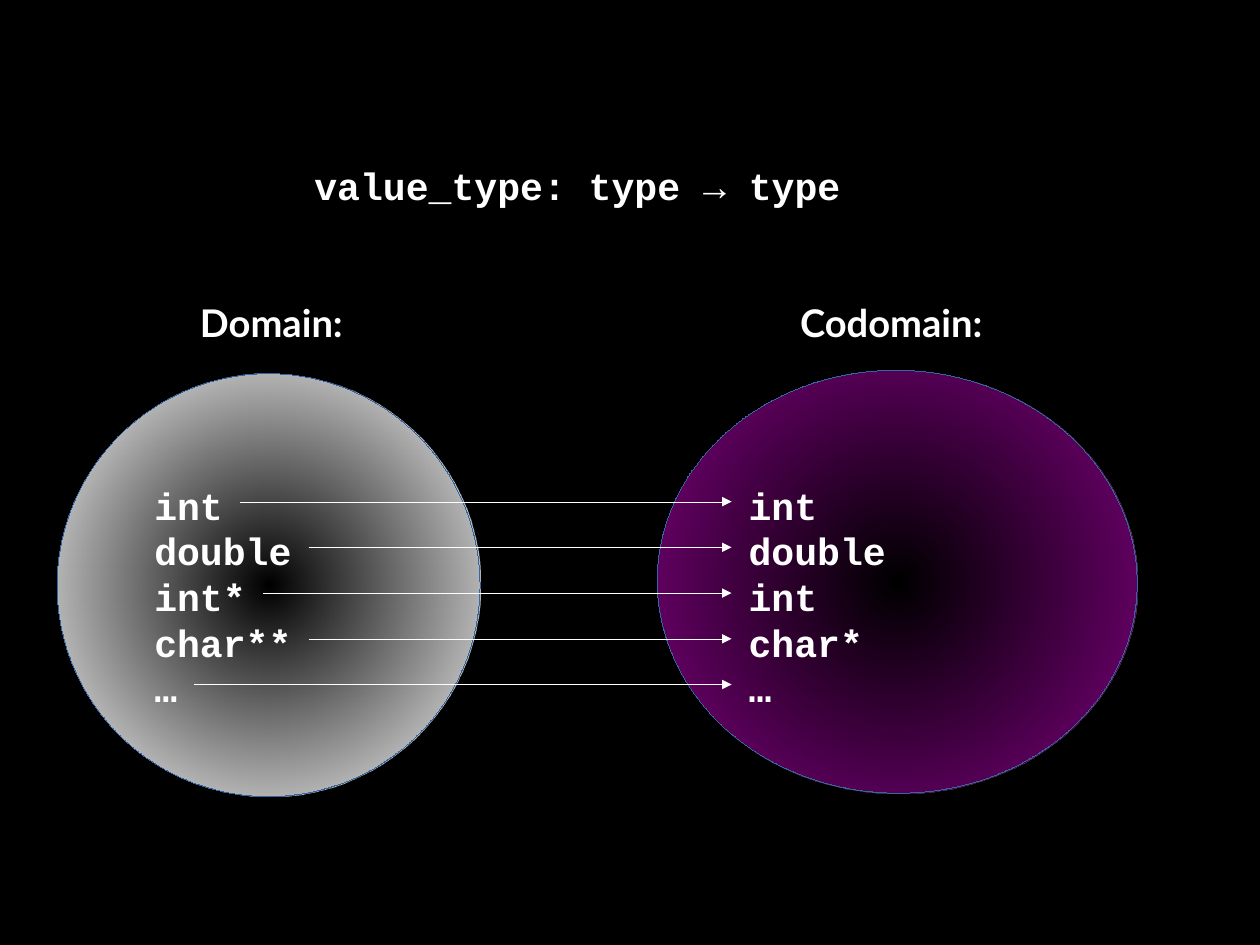
from dataclasses import dataclass

from lxml.etree import SubElement
from pptx import Presentation
from pptx.dml.color import RGBColor
from pptx.enum.shapes import MSO_CONNECTOR as Connector, MSO_SHAPE as Shape
from pptx.enum.text import MSO_ANCHOR as Anchor, PP_ALIGN as Align
from pptx.oxml import parse_xml
from pptx.oxml.ns import nsdecls, qn
from pptx.util import Pt


@dataclass(frozen=True)
class Theme:
    """Colours, fonts and type sizes of the slide."""
    background: str = "000000"
    text: str = "FFFFFF"
    outline: str = "3465A4"
    domain: str = "FFFFFF"
    codomain: str = "800080"
    code_font: str = "Courier New"
    label_font: str = "Lato"
    size: float = 24
    pitch: float = 28.8
    character: float = 14.4
    gap: float = 10.8


THEME = Theme()
MAPPING = [("int", "int"), ("double", "double"), ("int*", "int"),
           ("char**", "char*"), ("…", "…")]
LABEL_TOP = 188.8
LIST_TOP = 303.6
DOMAIN_LEFT = 97.2
CODOMAIN_LEFT = 471.6


def rgb(colour):
    """Turn a hex string into a colour."""
    return RGBColor.from_string(colour)


def set_hairline(line, colour):
    """Give a line its colour and the thinnest width."""
    line.color.rgb = rgb(colour)
    line._get_or_add_ln().set("w", "0")


def write(shape, text, font):
    """Fill a shape with bold text in the theme's size and line pitch."""
    frame = shape.text_frame
    frame.text = text
    frame.word_wrap = True
    frame.vertical_anchor = Anchor.TOP
    frame.margin_left = frame.margin_right = 0
    frame.margin_top = frame.margin_bottom = 0
    for paragraph in frame.paragraphs:
        paragraph.alignment = Align.LEFT
        paragraph.line_spacing = Pt(THEME.pitch)
        paragraph.space_before = paragraph.space_after = Pt(0)
        for run in paragraph.runs:
            run.font.name = font
            run.font.size = Pt(THEME.size)
            run.font.bold = True
            run.font.color.rgb = rgb(THEME.text)


def add_text(slide, left, top, width, text, font):
    """Add a text box as high as its lines."""
    height = THEME.pitch * len(text.split("\n"))
    box = slide.shapes.add_textbox(Pt(left), Pt(top), Pt(width), Pt(height))
    write(box, text, font)


def add_title(slide, left, top, width):
    """Place the function signature in the title placeholder."""
    title = slide.shapes.title
    title.left, title.top = Pt(left), Pt(top)
    title.width, title.height = Pt(width), Pt(THEME.pitch)
    write(title, "value_type: type → type", THEME.code_font)


def add_glow(slide, left, top, width, height, colour):
    """Add an ellipse that fades from a clear centre to a coloured rim."""
    ellipse = slide.shapes.add_shape(
        Shape.OVAL, Pt(left), Pt(top), Pt(width), Pt(height))
    ellipse.shadow.inherit = False
    ellipse.rotation = 1.4
    set_hairline(ellipse.line, THEME.outline)
    gradient = parse_xml(
        f'<a:gradFill {nsdecls("a")} rotWithShape="1"><a:gsLst>'
        f'<a:gs pos="0"><a:srgbClr val="{colour}"><a:alpha val="0"/></a:srgbClr></a:gs>'
        f'<a:gs pos="100000"><a:srgbClr val="{colour}"/></a:gs></a:gsLst>'
        '<a:path path="circle"><a:fillToRect l="50000" t="50000" r="50000" b="50000"/>'
        '</a:path></a:gradFill>')
    ellipse._element.spPr.find(qn("a:prstGeom")).addnext(gradient)


def add_set(slide, box, colour, label, label_left, members, members_left):
    """Draw one set in its box: ellipse, label above and members inside."""
    left, top, width, height = box
    add_glow(slide, left, top, width, height, colour)
    add_text(slide, label_left, LABEL_TOP, 150, label, THEME.label_font)
    add_text(slide, members_left, LIST_TOP, 150, "\n".join(members), THEME.code_font)


def add_arrow(slide, start, end, y):
    """Draw a hairline arrow to the right."""
    arrow = slide.shapes.add_connector(
        Connector.STRAIGHT, Pt(start), Pt(y), Pt(end), Pt(y))
    set_hairline(arrow.line, THEME.text)
    SubElement(arrow.line._get_or_add_ln(), qn("a:tailEnd"), type="triangle")
    SubElement(arrow._element.spPr, qn("a:effectLst"))


def add_mapping(slide, top):
    """Join each domain member to its codomain member."""
    for row, (source, _) in enumerate(MAPPING):
        start = DOMAIN_LEFT + len(source) * THEME.character + THEME.gap
        add_arrow(slide, start, CODOMAIN_LEFT - THEME.gap, top + row * THEME.pitch)


def main():
    """Build and save the slide."""
    presentation = Presentation()
    presentation.slide_width = Pt(793.7)
    presentation.slide_height = Pt(595.28)
    slide = presentation.slides.add_slide(presentation.slide_layouts[5])
    slide.background.fill.solid()
    slide.background.fill.fore_color.rgb = rgb(THEME.background)
    domain, codomain = zip(*MAPPING)
    add_title(slide, 198, 102.2, 400)
    add_set(slide, (414, 233.3, 302.4, 266.4), THEME.codomain,
            "Codomain:", 504, codomain, CODOMAIN_LEFT)
    add_set(slide, (36, 235.4, 266.4, 266.4), THEME.domain,
            "Domain:", 126, domain, DOMAIN_LEFT)
    add_mapping(slide, 316)
    presentation.save("out.pptx")


if __name__ == "__main__":
    main()
